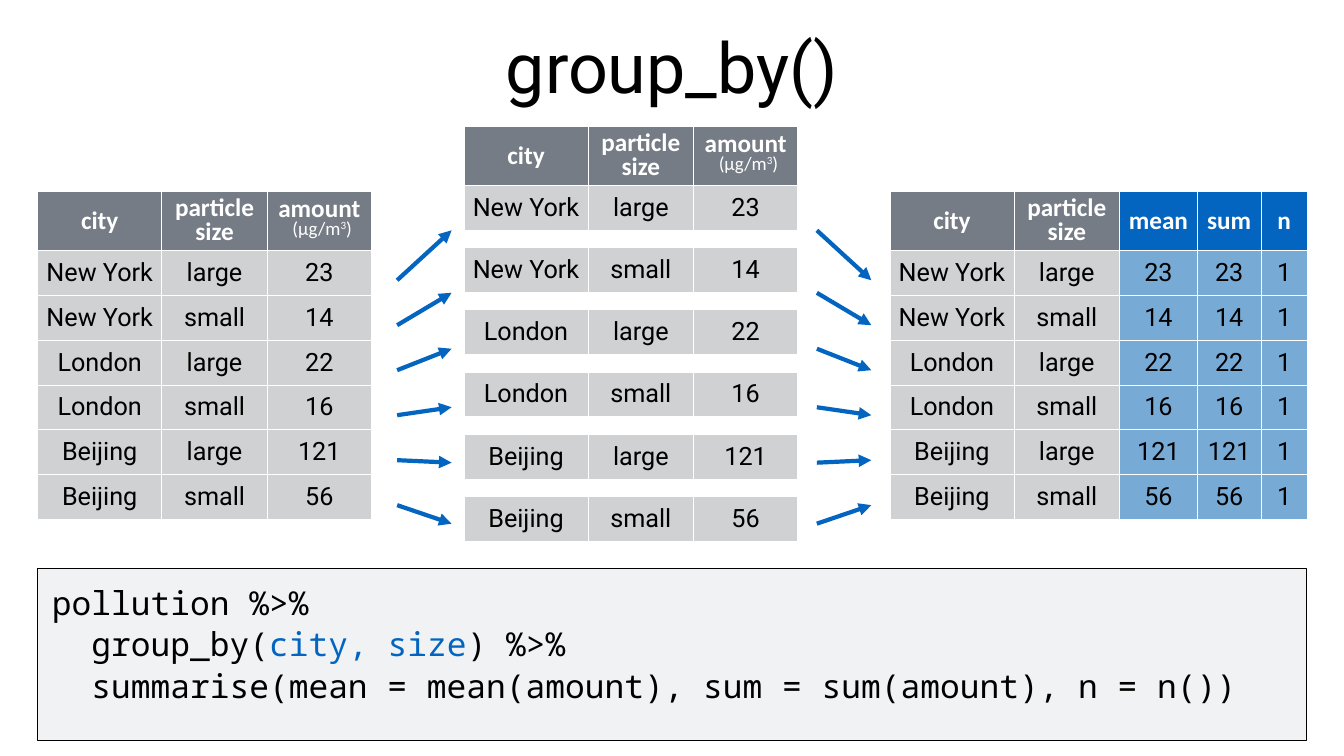
import pptx
import pptx.util
import pptx.dml.color
import pptx.enum.shapes
import pptx.enum.text
import pptx.oxml.ns
from lxml import etree

WIDE, HIGH = 26.67, 15
HUES = {"ink": "000000", "white": "FFFFFF", "head": "767C85", "cell": "D0D1D2",
        "blue": "0365C0", "pale": "78AAD6", "panel": "F0F2F4"}
HEAD = {"size": pptx.util.Pt(36), "name": "Calibri", "bold": True}
UNIT = {"size": pptx.util.Pt(27), "name": "Calibri", "bold": False}
BODY = {"size": pptx.util.Pt(36), "name": "Roboto", "bold": False}
TITLE = {"size": pptx.util.Pt(100), "name": "Roboto"}
CODE = {"size": pptx.util.Pt(47), "name": "Noto Sans Mono"}
MID = pptx.enum.text.MSO_ANCHOR.MIDDLE
MARGIN = pptx.util.Inches(0.06)
INSET = {"margin_" + side: MARGIN for side in ("left", "right", "top", "bottom")}

# Column widths and row heights, in percent of the slide
COLS = [9.22, 7.87, 7.72]
STAT_COLS = [9.22, 7.87, 5.77, 4.76, 3.41]
TOP_ROW, ROW = 7.8, 5.93

DATA = [(city, size, amount) for city, pair in
        (("New York", ("23", "14")), ("London", ("22", "16")), ("Beijing", ("121", "56")))
        for size, amount in zip(("large", "small"), pair)]
LABELS = ["city", "particle\vsize", "amount"]


def across(share):
    return pptx.util.Inches(WIDE * share / 100)


def down(share):
    return pptx.util.Inches(HIGH * share / 100)


def place(left, top, width, height):
    return across(left), down(top), across(width), down(height)


def hue(name):
    return pptx.dml.color.RGBColor.from_string(HUES[name])


def apply(item, values):
    for key, value in values.items():
        setattr(item, key, value)


def write(para, text, look, color):
    """Add text to a paragraph; a vertical tab breaks the line."""
    for i, part in enumerate(text.split("\v")):
        if i:
            para.add_line_break()
        run = para.add_run()
        run.text = part
        apply(run.font, look)
        run.font.color.rgb = hue(color)
    return run


def node(parent, tag, **values):
    return etree.SubElement(parent, pptx.oxml.ns.qn("a:" + tag), **values)


def paint(cell, fill):
    """Give a cell its white border, inset and fill."""
    apply(cell, {**INSET, "vertical_anchor": MID})
    props = cell._tc.get_or_add_tcPr()
    for side in "LRTB":
        edge = node(props, "ln" + side, w="12700")
        node(node(edge, "solidFill"), "srgbClr", val=HUES["white"])
    cell.fill.solid()
    cell.fill.fore_color.rgb = hue(fill)


def label(cell, text):
    """Write a heading, with the unit below the amount."""
    frame = cell.text_frame
    para = frame.paragraphs[0]
    write(para, text, HEAD, "white")
    if "\v" in text:
        para.line_spacing = 0.8
    if text == "amount":
        unit = frame.add_paragraph()
        write(unit, " ", {**UNIT, "size": HEAD["size"]}, "white")
        write(unit, "(µg/m", UNIT, "white")
        power = write(unit, "3", UNIT, "white")
        power._r.get_or_add_rPr().set("baseline", "32000")
        write(unit, ")", UNIT, "white")
        para.line_spacing = unit.line_spacing = 0.6


def grid(slide, left, top, cols, rows, heads=None):
    """Draw a table; columns past the second are blue when there are statistics."""
    highs = [TOP_ROW] * bool(heads) + [ROW] * len(rows)
    box = place(left, top, sum(cols), sum(highs))
    table = slide.shapes.add_table(len(highs), len(cols), *box).table
    apply(table, {"first_row": False, "horz_banding": False})
    for col, width in zip(table.columns, cols):
        col.width = across(width)
    for row, height in zip(table.rows, highs):
        row.height = down(height)
    for r, texts in enumerate(([heads] if heads else []) + list(rows)):
        top_row = bool(heads) and r == 0
        for c, text in enumerate(texts):
            stat = len(cols) > 3 and c > 1
            cell = table.cell(r, c)
            if top_row:
                paint(cell, "blue" if stat else "head")
                label(cell, text)
            else:
                paint(cell, "pale" if stat else "cell")
                write(cell.text_frame.paragraphs[0], text, BODY, "ink")
            for para in cell.text_frame.paragraphs:
                para.alignment = pptx.enum.text.PP_ALIGN.CENTER


def whole(slide, left, top):
    """Source table, made of one block for each city."""
    for i in range(0, len(DATA), 2):
        start = top + (TOP_ROW + i * ROW if i else 0)
        grid(slide, left, start, COLS, DATA[i:i + 2], None if i else LABELS)


def split(slide, left, top, pitch):
    """Groups, one row apart from the next."""
    for i, row in enumerate(DATA):
        start = top + (TOP_ROW + i * pitch if i else 0)
        grid(slide, left, start, COLS, [row], None if i else LABELS)


def stats(slide, left, top):
    """Result table with the summary columns."""
    rows = [(city, size, amount, amount, "1") for city, size, amount in DATA]
    grid(slide, left, top, STAT_COLS, rows, LABELS[:2] + ["mean", "sum", "n"])


def arrows(slide, left, right, starts, ends):
    for start, end in zip(starts, ends):
        arrow = slide.shapes.add_connector(
            pptx.enum.shapes.MSO_CONNECTOR.STRAIGHT,
            across(left), down(start), across(right), down(end))
        arrow.line.color.rgb = hue("blue")
        arrow.line.width = pptx.util.Pt(6)
        node(arrow.line._get_or_add_ln(), "tailEnd", type="triangle")
        node(arrow._element.spPr, "effectLst")


def textbox(slide, box):
    frame = slide.shapes.add_textbox(*place(*box)).text_frame
    apply(frame, {**INSET, "word_wrap": True})
    return frame


def title(slide, box):
    frame = textbox(slide, box)
    frame.vertical_anchor = MID
    para = frame.paragraphs[0]
    para.alignment = pptx.enum.text.PP_ALIGN.CENTER
    write(para, "group_by()", TITLE, "ink")


def code(slide, box):
    """Panel with the code inside it."""
    left, top, width, height = box
    panel = slide.shapes.add_shape(pptx.enum.shapes.MSO_SHAPE.RECTANGLE, *place(*box))
    panel.shadow.inherit = False
    panel.fill.solid()
    panel.fill.fore_color.rgb = hue("panel")
    panel.line.color.rgb = hue("ink")
    panel.line.width = pptx.util.Pt(1)
    frame = textbox(slide, (left + 0.87, top + 2, width - 1.16, height - 2))
    lines = [[("pollution %>%", "ink")],
             [("  group_by(", "ink"), ("city, size", "blue"), (") %>%", "ink")],
             [("  summarise(mean = mean(amount), sum = sum(amount), n = n())", "ink")]]
    for i, line in enumerate(lines):
        para = frame.add_paragraph() if i else frame.paragraphs[0]
        para.line_spacing = 0.9
        if i:
            para.space_before = pptx.util.Pt(9)
        for text, color in line:
            write(para, text, CODE, color)


def main():
    deck = pptx.Presentation()
    deck.slide_width, deck.slide_height = across(100), down(100)
    slide = deck.slides.add_slide(deck.slide_layouts[6])
    title(slide, (16.42, -0.13, 67.12, 17.47))
    # Three stages, left to right
    whole(slide, 2.81, 25.33)
    split(slide, 34.53, 16.73, 8.22)
    stats(slide, 66.22, 25.33)
    # Arrows between the stages
    outer = [37.07 + 5.95 * i for i in range(len(DATA))]
    inner = [30.47, 38.73, 46.13, 53.87, 61.2, 69.27]
    arrows(slide, 29.55, 33.6, outer, inner)
    arrows(slide, 60.78, 64.83, inner, outer)
    code(slide, (2.77, 75.2, 94.41, 22.73))
    deck.save("out.pptx")


if __name__ == "__main__":
    main()
